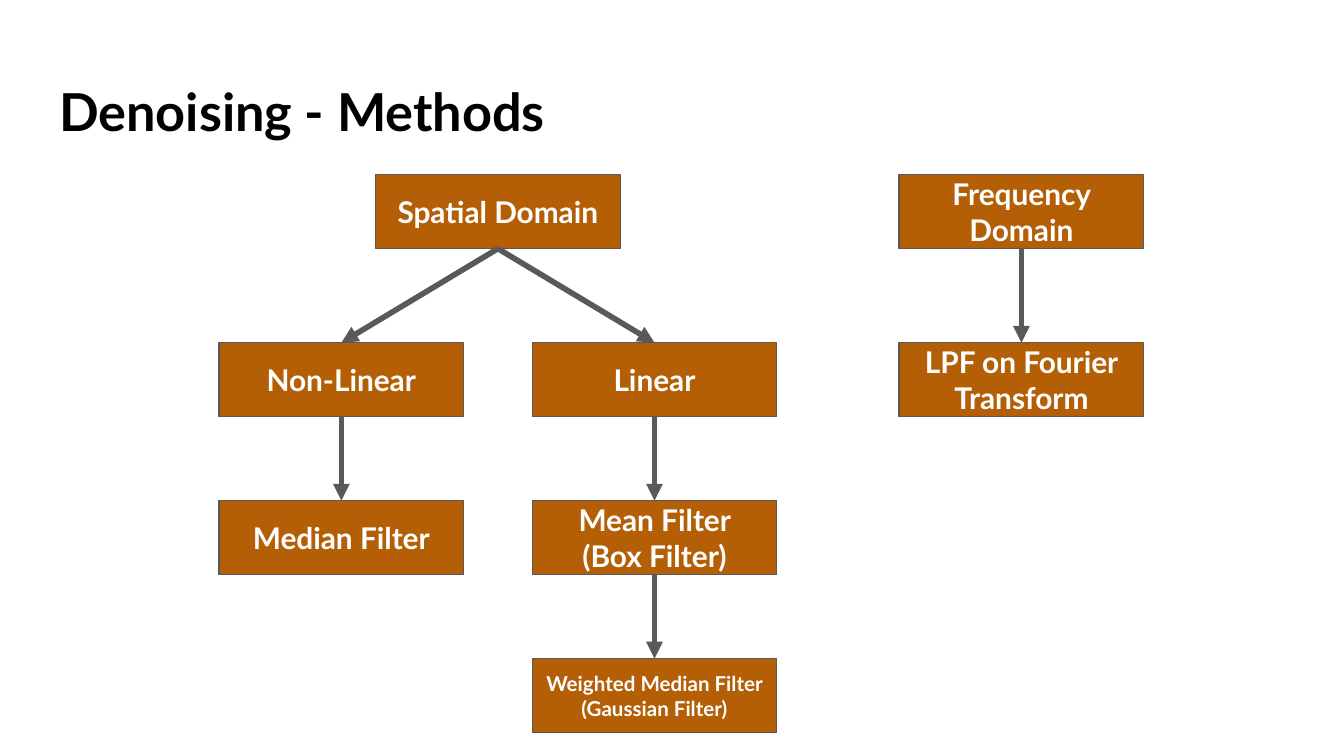
import pptx
import pptx.dml.color
import pptx.enum.shapes
import pptx.enum.text
import pptx.oxml
import pptx.oxml.ns
import pptx.util

Inches = pptx.util.Inches
Pt = pptx.util.Pt
color = pptx.dml.color.RGBColor.from_string

THEME = {
    "font": "Lato",
    "title_color": "000000",
    "box_color": "B45F06",
    "line_color": "595959",
    "box_text": "FFFFFF",
    "title_size": 28,
    "box_size": 16,
    "small_size": 11,
    "border": 0.75,
    "arrow": 3,
}

presentation = pptx.Presentation()
presentation.slide_width = Inches(10)
presentation.slide_height = Inches(10 * 9 / 16)
slide = presentation.slides.add_slide(presentation.slide_layouts[5])


def write_text(shape, text, size, text_color, alignment, anchor):
    frame = shape.text_frame
    frame.text = text
    frame_format = {
        "word_wrap": True,
        "auto_size": pptx.enum.text.MSO_AUTO_SIZE.NONE,
        "vertical_anchor": anchor,
        "margin_left": Inches(0.1),
        "margin_right": Inches(0.1),
        "margin_top": Inches(0.1),
        "margin_bottom": Inches(0.1),
    }
    for name, value in frame_format.items():
        setattr(frame, name, value)
    paragraph = frame.paragraphs[0]
    paragraph.alignment = alignment
    font = paragraph.runs[0].font
    for name, value in {"name": THEME["font"], "size": Pt(size), "bold": True}.items():
        setattr(font, name, value)
    font.color.rgb = color(text_color)


title = slide.shapes.title
title_place = {"left": 0.34, "top": 0.49, "width": 9.32, "height": 0.63}
for name, value in title_place.items():
    setattr(title, name, Inches(value))
write_text(title, "Denoising - Methods", THEME["title_size"], THEME["title_color"],
           pptx.enum.text.PP_ALIGN.LEFT, pptx.enum.text.MSO_ANCHOR.TOP)

box_width, box_height = 1.82, 0.55
left_column, linear_column, frequency_column = 1.63, 3.96, 6.69
spatial_column = (left_column + linear_column) / 2
second_row, last_row = 2.55, 4.9
rows = [1.3, second_row, (second_row + last_row) / 2, last_row]

boxes = [
    ("Spatial Domain", spatial_column, 0, "box_size"),
    ("Non-Linear", left_column, 1, "box_size"),
    ("Linear", linear_column, 1, "box_size"),
    ("Median Filter", left_column, 2, "box_size"),
    ("Mean Filter (Box Filter)", linear_column, 2, "box_size"),
    ("Frequency Domain", frequency_column, 0, "box_size"),
    ("LPF on Fourier Transform", frequency_column, 1, "box_size"),
    ("Weighted Median Filter (Gaussian Filter)", linear_column, 3, "small_size"),
]
methods = {}
for label, left, row, size in boxes:
    box = slide.shapes.add_shape(
        pptx.enum.shapes.MSO_SHAPE.RECTANGLE,
        Inches(left), Inches(rows[row]), Inches(box_width), Inches(box_height))
    box.shadow.inherit = False
    box.fill.solid()
    box.fill.fore_color.rgb = color(THEME["box_color"])
    box.line.color.rgb = color(THEME["line_color"])
    box.line.width = Pt(THEME["border"])
    write_text(box, label, THEME[size], THEME["box_text"],
               pptx.enum.text.PP_ALIGN.CENTER, pptx.enum.text.MSO_ANCHOR.MIDDLE)
    methods[label] = box

arrows = [
    ("Spatial Domain", "Non-Linear"),
    ("Spatial Domain", "Linear"),
    ("Linear", "Mean Filter (Box Filter)"),
    ("Non-Linear", "Median Filter"),
    ("Frequency Domain", "LPF on Fourier Transform"),
    ("Mean Filter (Box Filter)", "Weighted Median Filter (Gaussian Filter)"),
]
bottom_site, top_site = 2, 0
for parent, child in arrows:
    arrow = slide.shapes.add_connector(pptx.enum.shapes.MSO_CONNECTOR.STRAIGHT, 0, 0, 0, 0)
    arrow.begin_connect(methods[parent], bottom_site)
    arrow.end_connect(methods[child], top_site)
    arrow.line.color.rgb = color(THEME["line_color"])
    arrow.line.width = Pt(THEME["arrow"])
    head = pptx.oxml.parse_xml(
        f'<a:tailEnd {pptx.oxml.ns.nsdecls("a")} type="triangle"/>')
    arrow.line._get_or_add_ln().append(head)
    arrow._element.spPr.append(
        pptx.oxml.parse_xml(f'<a:effectLst {pptx.oxml.ns.nsdecls("a")}/>'))

presentation.save("out.pptx")
